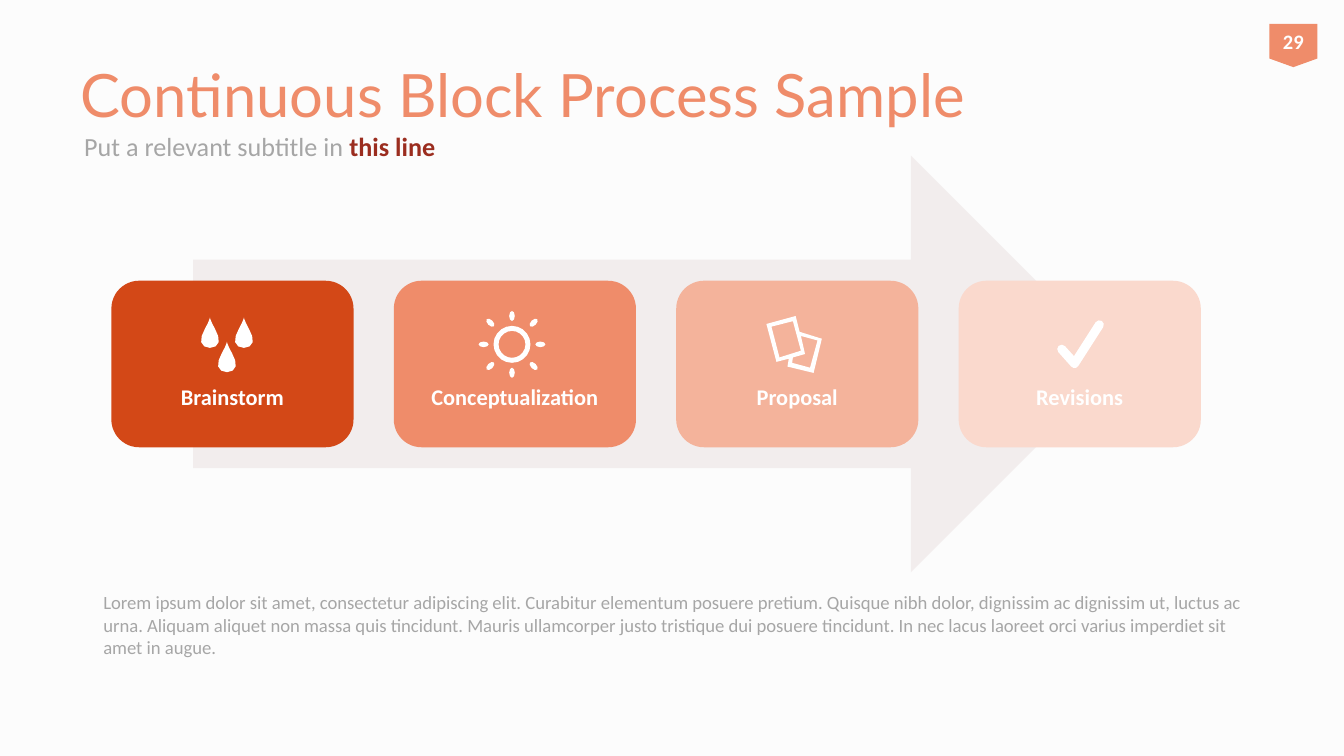
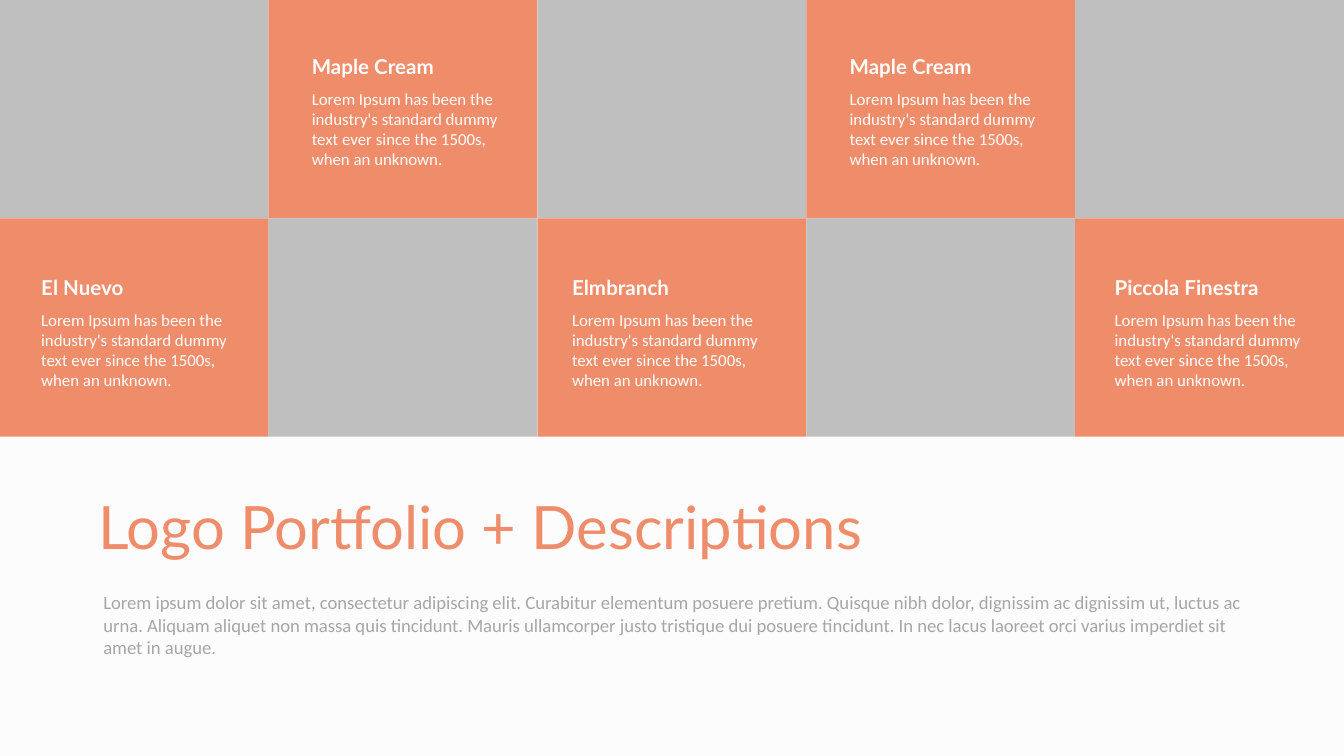
from dataclasses import dataclass
from math import cos, pi, radians, sin

from lxml.etree import SubElement
from pptx import Presentation
from pptx.dml.color import RGBColor as Color
from pptx.enum.shapes import MSO_SHAPE as Kind
from pptx.enum.text import MSO_ANCHOR as Anchor, PP_ALIGN as Align
from pptx.oxml.ns import qn
from pptx.util import Pt


@dataclass(frozen=True)
class Theme:
    background: str = "FCFCFC"
    accent: str = "EF8C6A"
    strong: str = "9B2D1F"
    grey: str = "A6A6A6"
    tile: str = "BFBFBF"
    arrow: str = "DECDCD"
    white: str = "FFFFFF"
    steps: tuple = ("D34817", "EF8C6A", "F4B39B", "FAD9CD")
    heading: str = "Lato"
    body: str = "Calibri"
    title_size: int = 32
    subtitle_size: int = 14
    label_size: int = 12
    name_size: int = 11
    body_size: int = 10
    small_size: int = 9


theme = Theme()


def add_box(page, place, kind=None, fill=None, runs=(), size=theme.body_size,
            font=theme.body, anchor=Anchor.MIDDLE, align=Align.LEFT, insets=None):
    """Add a preset shape, or a text box if no kind is given; runs are (text, colour, bold)."""
    lengths = [Pt(value) for value in place]
    if kind is None:
        box = page.shapes.add_textbox(*lengths)
    else:
        box = page.shapes.add_shape(kind, *lengths)
        box.shadow.inherit = False
        box.fill.solid()
        box.fill.fore_color.rgb = Color.from_string(fill)
        box.line.fill.background()
    frame = box.text_frame
    frame.word_wrap = True
    frame.vertical_anchor = anchor
    if insets:
        (frame.margin_left, frame.margin_top,
         frame.margin_right, frame.margin_bottom) = [Pt(value) for value in insets]
    para = frame.paragraphs[0]
    para.alignment = align
    for text, color, bold in runs:
        span = para.add_run()
        span.text = text
        span.font.name = font
        span.font.size = Pt(size)
        span.font.bold = bold
        span.font.color.rgb = Color.from_string(color)
    return box


def arc(center, radius_x, radius_y, steps, start=0, end=360, tilt=0):
    """Points along an elliptical arc, angles in degrees, turned by tilt."""
    points = []
    turn = radians(tilt)
    for step in range(steps + 1):
        angle = radians(start + (end - start) * step / steps)
        x, y = radius_x * cos(angle), radius_y * sin(angle)
        points.append((center[0] + x * cos(turn) - y * sin(turn),
                       center[1] + x * sin(turn) + y * cos(turn)))
    return points


deck = Presentation()
deck.slide_width, deck.slide_height = Pt(720), Pt(405)

# Shared parts: background, title, body text
LOREM = ("Lorem ipsum dolor sit amet, consectetur adipiscing elit. Curabitur elementum "
         "posuere pretium. Quisque nibh dolor, dignissim ac dignissim ut, luctus ac urna. "
         "Aliquam aliquet non massa quis tincidunt. Mauris ullamcorper justo tristique dui "
         "posuere tincidunt. In nec lacus laoreet orci varius imperdiet sit amet in augue.")
titles = [("Continuous Block Process Sample", (36, 16.2, 636, 68)),
          ("Logo Portfolio + Descriptions", (45.7, 247.7, 564.5, 68))]
pages = []
for title, place in titles:
    page = deck.slides.add_slide(deck.slide_layouts[6])
    page.background.fill.solid()
    page.background.fill.fore_color.rgb = Color.from_string(theme.background)
    add_box(page, place, runs=[(title, theme.accent, False)],
            size=theme.title_size, font=theme.heading)
    add_box(page, (48.3, 313.2, 629, 48), runs=[(LOREM, theme.grey, False)],
            anchor=Anchor.TOP)
    pages.append(page)
process, portfolio = pages

# Process: subtitle, page badge and backing arrow
add_box(process, (38, 63.8, 250, 29), size=theme.subtitle_size,
        runs=[("Put a relevant subtitle in ", theme.grey, False),
              ("this line", theme.strong, True)])
add_box(process, (680, 12.8, 25.8, 23.2), Kind.FLOWCHART_OFFPAGE_CONNECTOR, theme.accent,
        [("29", theme.white, True)], theme.name_size, align=Align.CENTER,
        insets=(0, 0, 0, 0))
arrow = add_box(process, (103.4, 83.4, 496.2, 223.2), Kind.RIGHT_ARROW, theme.arrow)
SubElement(arrow.element.find(".//" + qn("a:srgbClr")), qn("a:alpha"), val="30000")

# Process: step cards with labels
labels = ["Brainstorm", "Conceptualization", "Proposal", "Revisions"]
for index, (label, color) in enumerate(zip(labels, theme.steps)):
    left = 59.7 + 151.3 * index
    add_box(process, (left, 150.4, 129.7, 89.2), Kind.ROUNDED_RECTANGLE, color)
    add_box(process, (left + 4.3, 154.8, 121, 80.6), runs=[(label, theme.white, True)],
            size=theme.label_size, anchor=Anchor.BOTTOM, align=Align.CENTER,
            insets=(3.6, 3.6, 3.6, 16))

# Process: icon outlines
drops = []
for tip_x, tip_y in [(112.5, 170), (130.7, 170), (121.6, 183)]:
    angles = [2 * pi * step / 14 for step in range(14)]
    drops.append([(tip_x + 7.4 * sin(a) * sin(a / 2) ** 2,
                   tip_y + 8.2 * (1 - cos(a))) for a in angles])

sun_x, sun_y = 274.3, 184.5
sun = [arc((sun_x, sun_y), radius, radius, 20) for radius in (9.9, 7.2)]
for index in range(8):
    angle = 45 * index
    reach = (15.2, 16.4)[index % 2]
    center = (sun_x + reach * cos(radians(angle)), sun_y + reach * sin(radians(angle)))
    sun.append(arc(center, 2.7, 1.5, 8, tilt=angle))

papers = [
    [(440.3, 181.5), (428.4, 177.8), (426.3, 169.3), (410.6, 173.6),
     (416, 193.9), (422.6, 192.2), (421.9, 196.4), (435.9, 199.8)],
    [(413.3, 175), (424.8, 172.1), (429.1, 187.9), (417.6, 191.5)],
    [(438, 182.4), (434, 197), (424.4, 194.4), (424.8, 191.5),
     (431.3, 189.7), (429.1, 180)],
]

check = [arc((568.8, 187.1), 2.4, 2.4, 4, 138.5, 318.5) + [(575.4, 190.8)]
         + arc((589, 174), 2.4, 2.4, 4, -147, 33)
         + arc((575.7, 194.8), 2.4, 2.4, 3, 33, 138.5)]

# Freeform units are hundredths of a point
for contours in (drops, sun, papers, check):
    builder = None
    for contour in contours:
        points = [(round(x * 100), round(y * 100)) for x, y in contour]
        if builder is None:
            builder = process.shapes.build_freeform(*points[0], scale=Pt(1) / 100)
        else:
            builder.move_to(*points[0])
        builder.add_line_segments(points[1:], close=True)
    icon = builder.convert_to_shape()
    icon.shadow.inherit = False
    icon.fill.solid()
    icon.fill.fore_color.rgb = Color.from_string(theme.white)
    icon.line.fill.background()

# Portfolio: checkerboard of tiles
for row in range(2):
    for column in range(5):
        color = theme.accent if (row + column) % 2 else theme.tile
        add_box(portfolio, (144 * column, 117 * row, 144, 117), Kind.RECTANGLE, color)

# Portfolio: name and description on each coloured tile
DESCRIPTION = ("Lorem Ipsum has been the industry's standard dummy text ever since "
               "the 1500s, when an unknown.")
text_tops = [(24.5, 43.8), (143.3, 162.2)]
entries = [("El Nuevo", 1, 15, 76), ("Maple Cream", 0, 160, 127.4),
           ("Elmbranch", 1, 299.4, 76), ("Maple Cream", 0, 448.1, 127.4),
           ("Piccola Finestra", 1, 590.1, 116)]
for name, row, left, width in entries:
    name_top, description_top = text_tops[row]
    add_box(portfolio, (left, name_top, width, 21.6), runs=[(name, theme.white, True)],
            size=theme.name_size, font=theme.heading)
    add_box(portfolio, (left, description_top, 127.4, 51),
            runs=[(DESCRIPTION, theme.white, False)],
            size=theme.small_size, anchor=Anchor.TOP)

deck.save("out.pptx")
